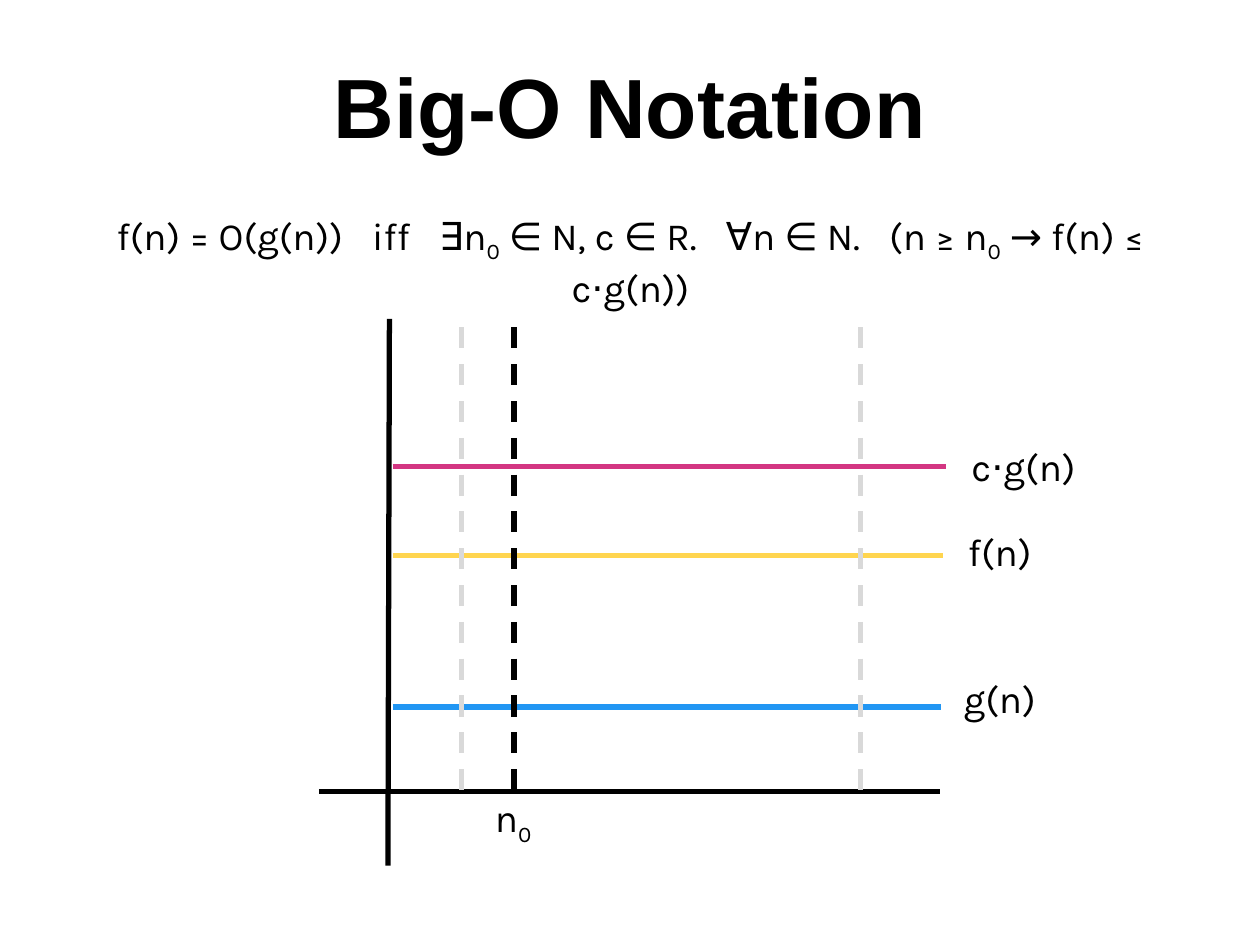
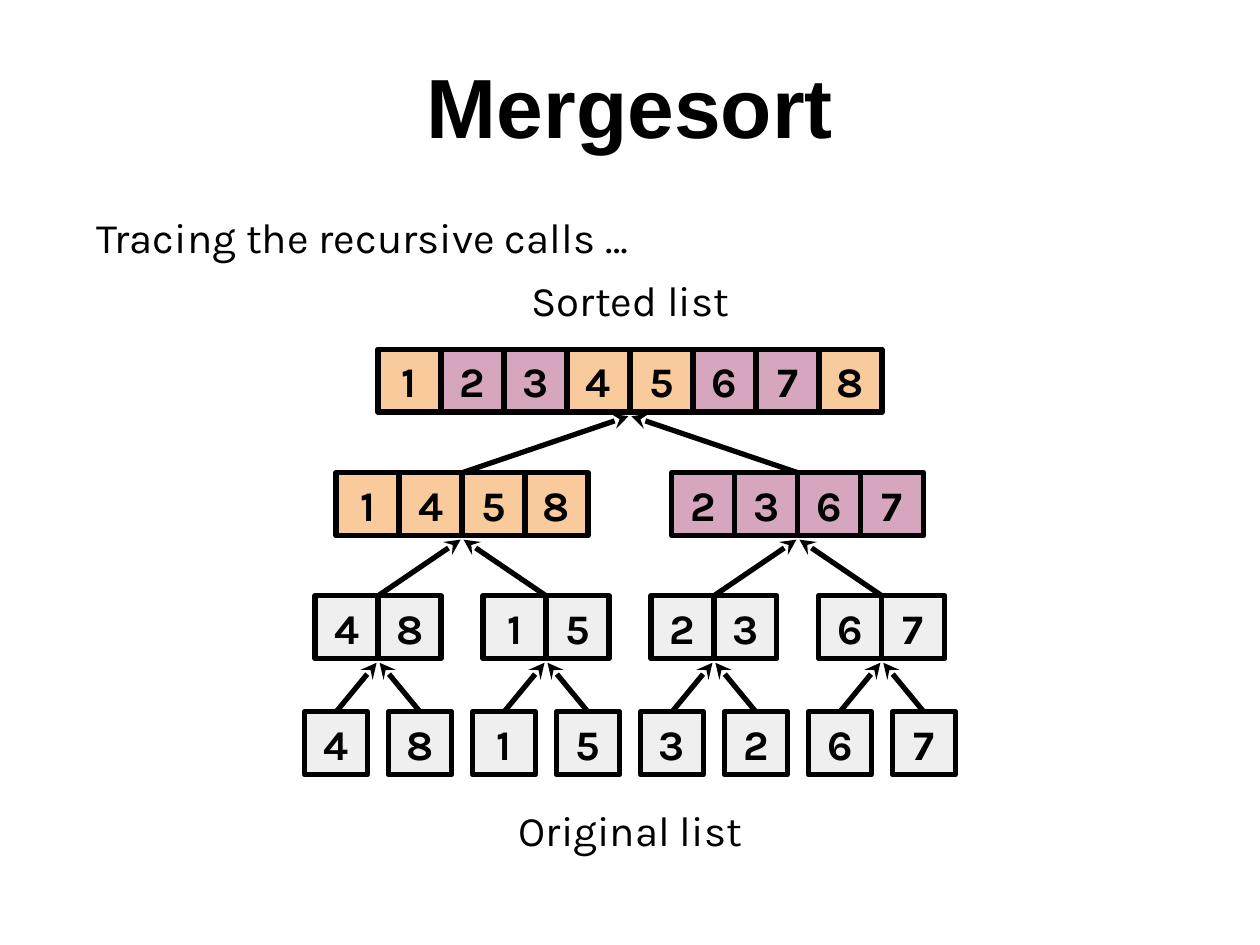
from lxml import etree
from pptx import Presentation
from pptx.dml.color import RGBColor
from pptx.enum.dml import MSO_LINE
from pptx.enum.shapes import MSO_CONNECTOR, MSO_SHAPE
from pptx.enum.text import MSO_ANCHOR, PP_ALIGN
from pptx.oxml.ns import qn
from pptx.util import Cm, Pt

STRAIGHT = MSO_CONNECTOR.STRAIGHT
RECT = MSO_SHAPE.RECTANGLE
DASH = MSO_LINE.DASH
TOP, MIDDLE = MSO_ANCHOR.TOP, MSO_ANCHOR.MIDDLE
LEFT, CENTER = PP_ALIGN.LEFT, PP_ALIGN.CENTER

BLACK, WHITE = "000000", "FFFFFF"
BLUE, PINK, YELLOW, SILVER = "2196F3", "D33682", "FFD54F", "D9D9D9"
PEACH, MAUVE, GREY = "F9CB9C", "D5A6BD", "EFEFEF"
HEAD_FONT, BODY_FONT = "Arial", "Karla"
BODY = (1.7, 4.02, 22.02, 15.03)

SUB = {"baseline": "-25000"}
GAP = (" ", {"spc": "1140"})
ZERO = ("0", SUB)

CELL, MID, SPAN = 1.27, 12.7, 13.54
ROWS = [
    (7.04, ["12345678"]),
    (9.53, ["1458", "2367"]),
    (12.01, ["48", "15", "23", "67"]),
    (14.35, ["4", "8", "1", "5", "3", "2", "6", "7"]),
]


def color(code):
    return RGBColor.from_string(code)


def style(frame, size, font=BODY_FONT, bold=False, align=CENTER, anchor=MIDDLE):
    frame.word_wrap = True
    frame.vertical_anchor = anchor
    frame.margin_left = frame.margin_right = Cm(0.25)
    frame.margin_top = frame.margin_bottom = Cm(0.25)
    for para in frame.paragraphs:
        para.alignment = align
        for run in para.runs:
            run.font.size = Pt(size)
            run.font.name = font
            run.font.bold = bold
            run.font.color.rgb = color(BLACK)


def add_text(slide, box, parts, size, **look):
    frame = slide.shapes.add_textbox(*map(Cm, box)).text_frame
    if isinstance(parts, str):
        frame.text = parts
    else:
        for text, marks in parts:
            run = frame.paragraphs[0].add_run()
            run.text = text
            for key, value in marks.items():
                run.font._element.set(key, value)
    style(frame, size, **look)
    return frame


def add_line(slide, start, end, code=BLACK, dash=None, arrow=False):
    line = slide.shapes.add_connector(STRAIGHT, *map(Cm, start + end))
    line.line.color.rgb = color(code)
    line.line.width = Pt(3)
    if dash:
        line.line.dash_style = dash
    if arrow:
        tip = etree.SubElement(line.line._get_or_add_ln(), qn("a:tailEnd"))
        tip.set("type", "stealth")
    etree.SubElement(line._element.spPr, qn("a:effectLst"))
    return line


def add_cell(slide, left, top, digit, code):
    cell = slide.shapes.add_shape(RECT, *map(Cm, (left, top, CELL, CELL)))
    cell.shadow.inherit = False
    cell.fill.solid()
    cell.fill.fore_color.rgb = color(code)
    cell.line.color.rgb = color(BLACK)
    cell.line.width = Pt(3)
    cell.text_frame.text = digit
    style(cell.text_frame, 24, bold=True)
    return cell


def add_slide(deck, title):
    slide = deck.slides.add_slide(deck.slide_layouts[6])
    slide.background.fill.solid()
    slide.background.fill.fore_color.rgb = color(WHITE)
    add_text(slide, (0, 0.84, 25.4, 3.18), title, 48,
             font=HEAD_FONT, bold=True, anchor=TOP)
    return slide


def center(index, count):
    return MID + (index - (count - 1) / 2) * SPAN / count


def add_list(slide, mid, top, digits, shade):
    left = mid - len(digits) * CELL / 2
    cells = []
    for i, digit in enumerate(digits):
        code = GREY
        if shade:
            code = PEACH if digit in "1458" else MAUVE
        cells.append(add_cell(slide, left + i * CELL, top, digit, code))
    return cells


def big_o(deck):
    slide = add_slide(deck, "Big-O Notation")
    add_text(slide, BODY, [
        ("f(n) = O(g(n))", {}), GAP, ("iff", {}), GAP, ("∃n", {}), ZERO,
        (" ∈ N, c ∈ R.", {}), GAP, ("∀n ∈ N.", {}), GAP, ("(n ≥ n", {}), ZERO,
        (" → f(n) ≤ c⋅g(n))", {}),
    ], 22, anchor=TOP)
    add_line(slide, (7.85, 6.43), (7.82, 17.45))
    add_line(slide, (6.43, 15.95), (18.95, 15.95))
    curves = [
        ("g(n)", 14.25, 18.97, BLUE, (19.15, 13.16, 2.01, 1.83)),
        ("c⋅g(n)", 9.4, 19.08, PINK, (19.25, 8.59, 2.77, 1.6)),
        ("f(n)", 11.2, 19, YELLOW, (19.15, 10.19, 2.01, 1.83)),
    ]
    for name, y, right, code, box in curves:
        add_line(slide, (7.92, y), (right, y), code)
        add_text(slide, box, name, 22)
    for x, code in ((10.36, BLACK), (9.3, SILVER), (17.35, SILVER)):
        add_line(slide, (x, 6.6), (x, 16.15), code, DASH)
    add_text(slide, (9.19, 15.95, 2.31, 1.19), [("n", {}), ZERO], 22)


def merge_sort(deck):
    slide = add_slide(deck, "Mergesort")
    lines = ["Tracing the recursive calls …", "Sorted list", "Original list"]
    frame = add_text(slide, BODY, "\n".join(lines), 24, anchor=TOP)
    first, sorted_line, last = frame.paragraphs
    first.alignment = LEFT
    sorted_line.space_before = Pt(7)
    last.space_before = Pt(274)

    grid = []
    for depth, (top, lists) in enumerate(ROWS):
        grid.append([
            add_list(slide, center(i, len(lists)), top, digits, depth < 2)
            for i, digits in enumerate(lists)
        ])

    for depth in range(len(ROWS) - 1, 0, -1):
        top, count = ROWS[depth][0], len(grid[depth])
        base = ROWS[depth - 1][0] + CELL + 0.08
        for i, cells in enumerate(grid[depth]):
            shift = 0.03 if i % 2 else -0.03
            goal = (center(i // 2, count // 2) + shift, base)
            line = add_line(slide, (center(i, count), top), goal, arrow=True)
            if len(cells) == 1:
                line.begin_connect(cells[0], 0)


def main():
    deck = Presentation()
    deck.slide_width, deck.slide_height = Cm(25.4), Cm(19.05)
    big_o(deck)
    merge_sort(deck)
    deck.save("out.pptx")


if __name__ == "__main__":
    main()
